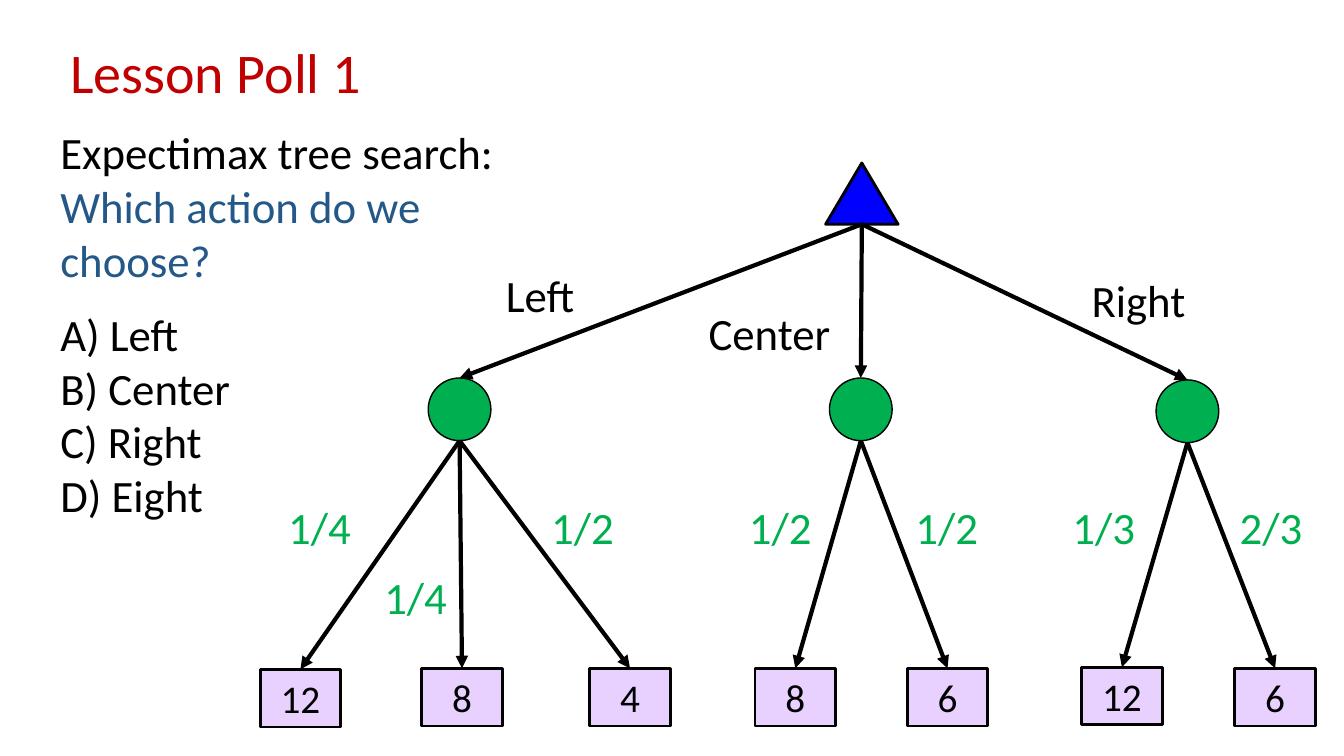
import pptx
import pptx.util
import pptx.dml.color
import pptx.enum.shapes
import pptx.enum.text
import pptx.oxml.ns
import lxml.etree

Pt = pptx.util.Pt
MSO_SHAPE = pptx.enum.shapes.MSO_SHAPE
MIDDLE = pptx.enum.text.MSO_ANCHOR.MIDDLE
CENTER = pptx.enum.text.PP_ALIGN.CENTER
qn = pptx.oxml.ns.qn

COLORS = {
    name: pptx.dml.color.RGBColor.from_string(value)
    for name, value in {
        "title": "C00000", "question": "235888", "black": "000000",
        "max": "0000FF", "chance": "00B050", "leaf": "E8D1FF",
    }.items()
}

deck = pptx.Presentation()
deck.slide_width, deck.slide_height = Pt(960), Pt(540)
slide = deck.slides.add_slide(deck.slide_layouts[6])


def add_text(lines, left, top, width, height, size=32):
    frame = slide.shapes.add_textbox(Pt(left), Pt(top), Pt(width), Pt(height)).text_frame
    frame.word_wrap = True
    for index, (text, color) in enumerate(lines):
        paragraph = frame.paragraphs[0] if index == 0 else frame.add_paragraph()
        paragraph.text = text
        paragraph.font.name = "Calibri"
        paragraph.font.size = Pt(size)
        paragraph.font.color.rgb = COLORS[color]
    return frame


def add_node(kind, left, top, width, height, fill, border):
    node = slide.shapes.add_shape(kind, Pt(left), Pt(top), Pt(width), Pt(height))
    node.shadow.inherit = False
    node.fill.solid()
    node.fill.fore_color.rgb = COLORS[fill]
    node.line.color.rgb = COLORS["black"]
    node.line.width = Pt(border)
    return node


title = add_text([("Lesson Poll 1", "title")], 43.2, 28.8, 828, 49.7, 40)
title.vertical_anchor = MIDDLE
title.paragraphs[0].line_spacing = 0.9

poll = add_text(
    [
        ("Expectimax tree search:", "black"),
        ("Which action do we choose?", "question"),
        ("A) Left", "black"),
        ("B) Center", "black"),
        ("C) Right", "black"),
        ("D) Eight", "black"),
    ],
    36, 85.7, 359.3, 293,
)
poll.paragraphs[2].space_before = Pt(14.6)

ROOT_X, ROOT_BOTTOM = 615.6, 160.2
CHANCE_SIZE = 44.8
LEAF_WIDTH, LEAF_HEIGHT = 57.6, 41.2

# action, label left, label top, label width, chance x, chance top, leaves
# leaf: value, left, top, probability, probability left, probability top
actions = [
    ("Left", 354.2, 187.9, 80.6, 328.3, 270, [
        ("12", 185.8, 478.1, "1/4", 198.7, 353.5),
        ("8", 301.2, 477.4, "1/4", 267.4, 403.2),
        ("4", 421.2, 477.4, "1/2", 386.6, 353.5),
    ]),
    ("Center", 499, 214.8, 118, 614.9, 270, [
        ("8", 539.3, 477.4, "1/2", 527.8, 353.5),
        ("6", 648, 477.4, "1/2", 646.8, 353.5),
    ]),
    ("Right", 772.6, 191.5, 118, 848.2, 271.4, [
        ("12", 772.6, 476.6, "1/3", 758.9, 353.5),
        ("6", 882, 477.4, "2/3", 878.4, 353.5),
    ]),
]

add_node(MSO_SHAPE.ISOSCELES_TRIANGLE, 589.7, 116.4, 51.8, 43.8, "max", 2)

edges = []
for action, label_left, label_top, label_width, chance_x, chance_top, leaves in actions:
    chance_bottom = chance_top + CHANCE_SIZE
    edges.append((ROOT_X, ROOT_BOTTOM, chance_x, chance_top))
    add_node(MSO_SHAPE.OVAL, chance_x - CHANCE_SIZE / 2, chance_top,
             CHANCE_SIZE, CHANCE_SIZE, "chance", 1)
    add_text([(action, "black")], label_left, label_top, label_width, 46)
    for value, left, top, probability, probability_left, probability_top in leaves:
        edges.append((chance_x, chance_bottom, left + LEAF_WIDTH / 2, top))
        leaf = add_node(MSO_SHAPE.RECTANGLE, left, top, LEAF_WIDTH, LEAF_HEIGHT, "leaf", 2)
        leaf.text_frame.vertical_anchor = MIDDLE
        payoff = leaf.text_frame.paragraphs[0]
        payoff.text = value
        payoff.alignment = CENTER
        payoff.font.name = "Calibri"
        payoff.font.size = Pt(28)
        payoff.font.color.rgb = COLORS["black"]
        add_text([(probability, "chance")], probability_left, probability_top, 80.6, 46)

for edge in edges:
    arrow = slide.shapes.add_connector(
        pptx.enum.shapes.MSO_CONNECTOR.STRAIGHT, *[Pt(length) for length in edge])
    arrow.line.color.rgb = COLORS["black"]
    arrow.line.width = Pt(3)
    properties = arrow.element.spPr
    lxml.etree.SubElement(properties.find(qn("a:ln")), qn("a:tailEnd"), type="triangle")
    lxml.etree.SubElement(properties, qn("a:effectLst"))

deck.save("out.pptx")
